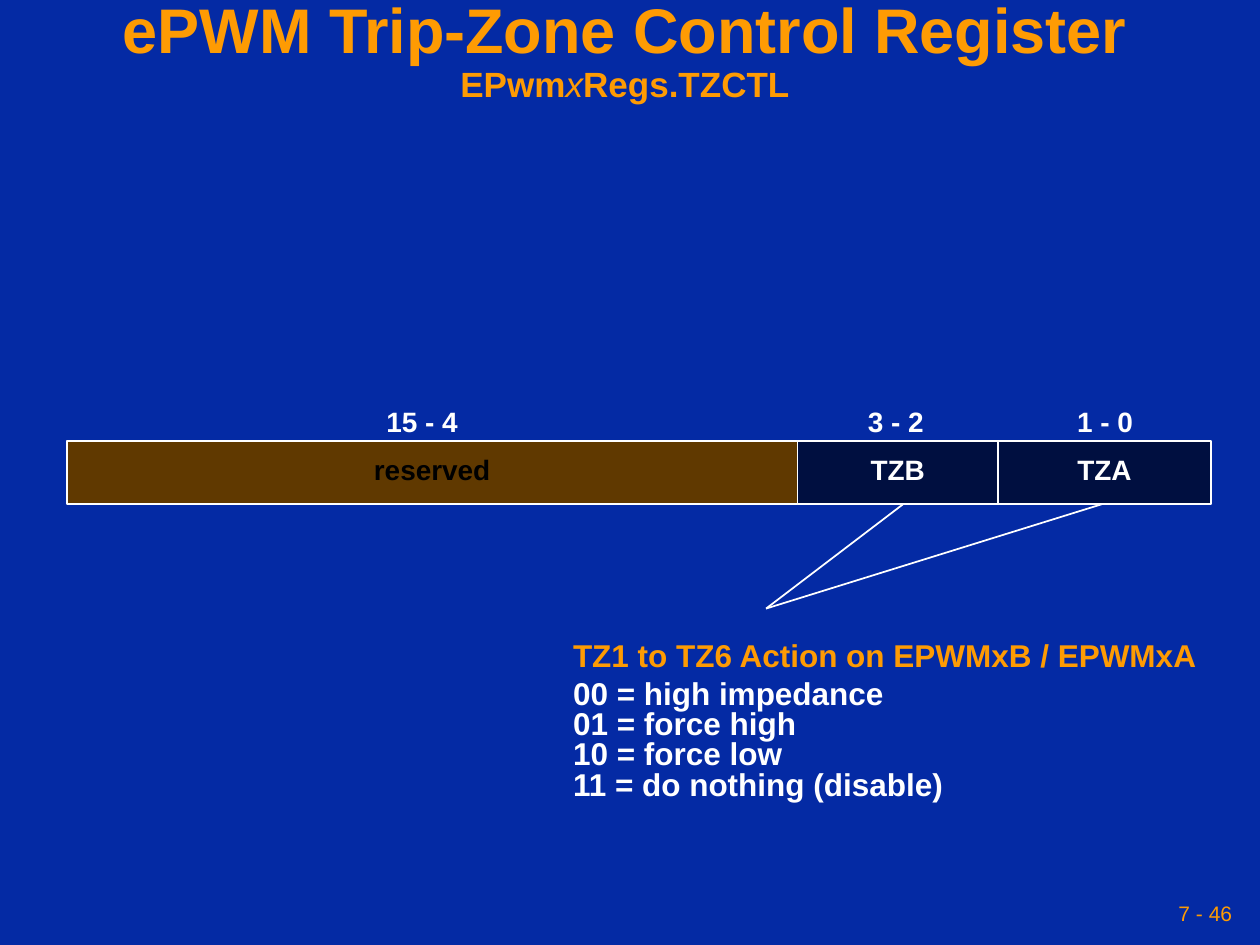
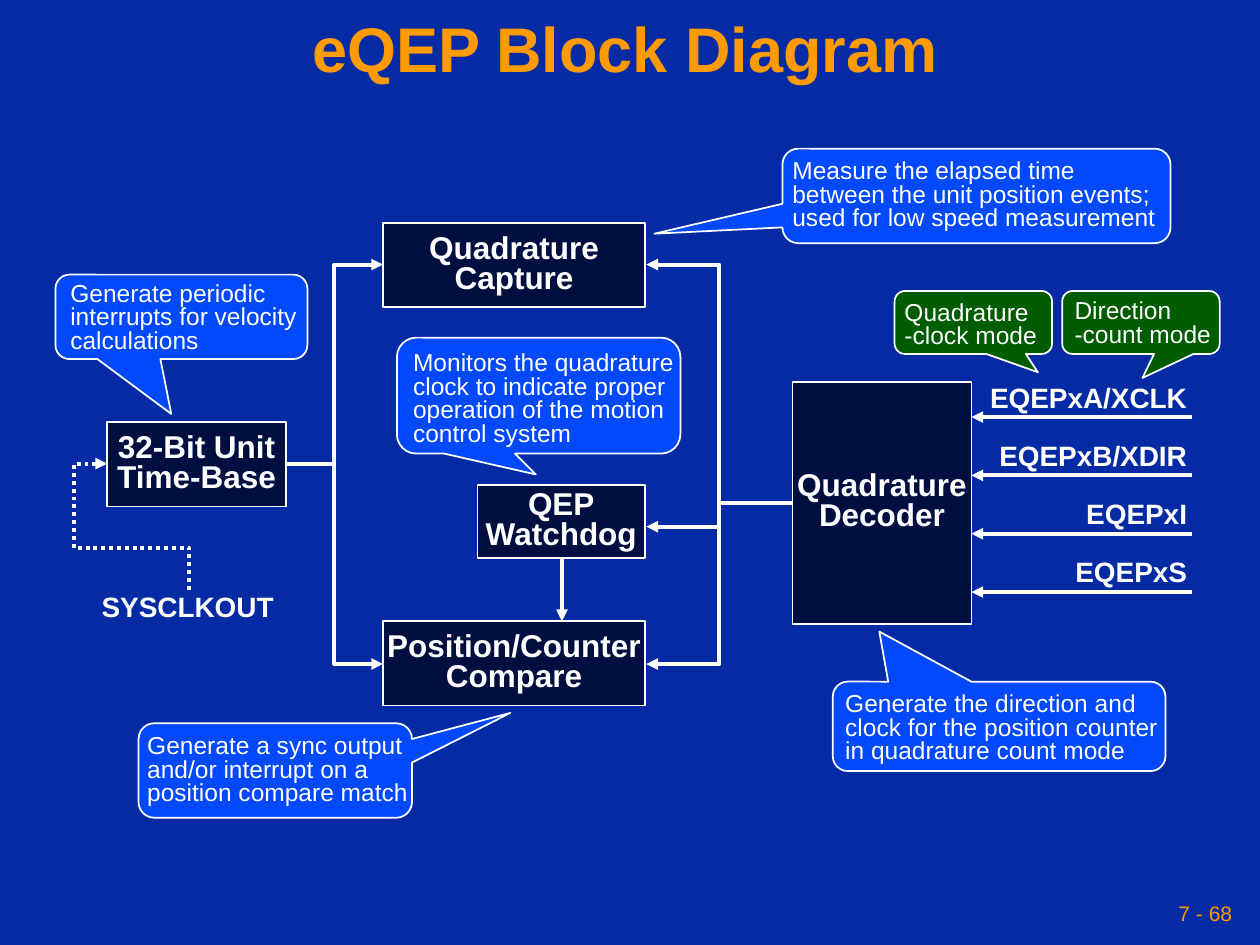
from lxml import etree
from pptx import Presentation
from pptx.dml.color import RGBColor
from pptx.enum.dml import MSO_LINE
from pptx.enum.shapes import MSO_CONNECTOR, MSO_SHAPE
from pptx.enum.text import MSO_ANCHOR, MSO_AUTO_SIZE, PP_ALIGN
from pptx.oxml.ns import qn
from pptx.util import Inches, Pt

LEFT, CENTER, RIGHT = PP_ALIGN.LEFT, PP_ALIGN.CENTER, PP_ALIGN.RIGHT
TOP, MIDDLE = MSO_ANCHOR.TOP, MSO_ANCHOR.MIDDLE
GROW, FIXED = MSO_AUTO_SIZE.SHAPE_TO_FIT_TEXT, MSO_AUTO_SIZE.NONE
STRAIGHT, ELBOW = MSO_CONNECTOR.STRAIGHT, MSO_CONNECTOR.ELBOW
RECTANGLE = MSO_SHAPE.RECTANGLE
CALLOUT = MSO_SHAPE.ROUNDED_RECTANGULAR_CALLOUT
DOTTED = MSO_LINE.ROUND_DOT

FONT = "Arial"
BACKGROUND, ACCENT, WHITE, BLACK = "042AA4", "FE9B03", "FFFFFF", "000000"
NAVY, BROWN, BLUE, GREEN = "000F40", "603900", "0249FC", "005C00"
THIN, THICK = 1, 2.25


def color(hex_string):
    return RGBColor.from_string(hex_string)


class Deck:
    """Holds the presentation, its style and the current slide."""

    def __init__(self):
        self.presentation = Presentation()
        self.presentation.slide_width = Inches(10)
        self.presentation.slide_height = Inches(7.5)
        self.slide = None

    def new_slide(self, title_lines, page):
        """Each title line is a list of (text, size, bold, italic) runs."""
        self.slide = self.presentation.slides.add_slide(
            self.presentation.slide_layouts[6])
        fill = self.slide.background.fill
        fill.solid()
        fill.fore_color.rgb = color(BACKGROUND)

        # Page number
        self.text(6.83, 7.08, 3, 0.33, page, 12, ACCENT, bold=False,
                  align=RIGHT, anchor=MIDDLE, spacing=1, margin=0.05,
                  auto_size=FIXED)

        # Title
        box = self.text(0, 0, 9.92, 0.83, "", 36, ACCENT, align=CENTER,
                        anchor=MIDDLE, spacing=0.9, margin=0.05, wrap=True,
                        auto_size=FIXED)
        paragraph = box.text_frame.paragraphs[0]
        for index, line in enumerate(title_lines):
            if index:
                paragraph.add_line_break()
            for text, size, bold, italic in line:
                run = paragraph.add_run()
                run.text = text
                self.format_font(run.font, size, ACCENT, bold)
                run.font.italic = italic

    def format_font(self, font, size, ink, bold):
        font.name = FONT
        font.size = Pt(size)
        font.bold = bold
        font.color.rgb = color(ink)

    def fill_text(self, shape, text, size, ink, bold=True, align=LEFT,
                  anchor=TOP, spacing=0.8, margin=0.1, wrap=False):
        frame = shape.text_frame
        frame.text = text
        frame.word_wrap = wrap
        frame.vertical_anchor = anchor
        frame.margin_left = frame.margin_right = Inches(margin)
        frame.margin_top = frame.margin_bottom = Inches(0.05)
        for paragraph in frame.paragraphs:
            paragraph.alignment = align
            paragraph.line_spacing = spacing
            for run in paragraph.runs:
                self.format_font(run.font, size, ink, bold)

    def text(self, left, top, width, height, text, size, ink=WHITE,
             auto_size=GROW, **style):
        box = self.slide.shapes.add_textbox(
            Inches(left), Inches(top), Inches(width), Inches(height))
        self.fill_text(box, text, size, ink, **style)
        box.text_frame.auto_size = auto_size
        return box

    def shape(self, kind, left, top, width, height, fill):
        shape = self.slide.shapes.add_shape(
            kind, Inches(left), Inches(top), Inches(width), Inches(height))
        shape.shadow.inherit = False
        shape.fill.solid()
        shape.fill.fore_color.rgb = color(fill)
        self.format_line(shape.line, THIN)
        return shape

    def block(self, left, top, width, height, text, size=18, fill=NAVY,
              ink=WHITE):
        shape = self.shape(RECTANGLE, left, top, width, height, fill)
        self.fill_text(shape, text, size, ink, align=CENTER, anchor=MIDDLE)

    def callout(self, bubble, tip, fill, note, text):
        """tip is the pointer's end, as a share of the bubble from its centre."""
        shape = self.shape(CALLOUT, *bubble, fill)
        shape.adjustments[0], shape.adjustments[1] = tip
        self.text(*note, text, 14, bold=False, wrap=True)

    def format_line(self, line, width):
        line.color.rgb = color(WHITE)
        line.width = Pt(width)

    def add_arrowhead(self, line):
        etree.SubElement(line._get_or_add_ln(), qn("a:tailEnd"),
                         type="triangle")

    def connect(self, start, end, kind=STRAIGHT, width=THICK, arrow=True):
        connector = self.slide.shapes.add_connector(
            kind, *(Inches(value) for value in (*start, *end)))
        self.format_line(connector.line, width)
        if arrow:
            self.add_arrowhead(connector.line)
        etree.SubElement(connector._element.spPr, qn("a:effectLst"))

    def dotted_route(self, points):
        corners = [(Inches(x), Inches(y)) for x, y in points]
        builder = self.slide.shapes.build_freeform(*corners[0])
        builder.add_line_segments(corners[1:], close=False)
        route = builder.convert_to_shape()
        route.shadow.inherit = False
        route.fill.background()
        self.format_line(route.line, THICK)
        route.line.dash_style = DOTTED
        self.add_arrowhead(route.line)


def build_control_register(deck):
    deck.new_slide([[("ePWM Trip-Zone Control Register", 36, True, False)],
                    [("EPwm", 20, True, False), ("x", 20, False, True),
                     ("Regs.TZCTL", 20, True, False)]], "7 - 46")

    # Register fields with their bit numbers: left, right, centre of the bits
    top, height, label_width = 3.5, 0.5, 1
    fields = [("15 - 4", "reserved", 0.53, 6.33, 3.35, BROWN, BLACK),
              ("3 - 2", "TZB", 6.33, 7.92, 7.11, NAVY, WHITE),
              ("1 - 0", "TZA", 7.92, 9.61, 8.77, NAVY, WHITE)]
    for bits, name, left, right, middle, fill, ink in fields:
        deck.block(left, top, right - left, height, name, 16, fill, ink)
        deck.text(middle - label_width / 2, 3.21, label_width, 0.32, bits, 16,
                  align=CENTER)

    # Field values
    values = deck.text(4.45, 5.05, 5.2, 1.37,
                       "TZ1 to TZ6 Action on EPWMxB / EPWMxA\n"
                       "00 = high impedance\n01 = force high\n"
                       "10 = force low\n11 = do nothing (disable)",
                       18, anchor=MIDDLE, wrap=True)
    heading = values.text_frame.paragraphs[0]
    heading.space_after = Pt(4.5)
    heading.runs[0].font.color.rgb = color(ACCENT)

    # Pointers from the fields to their values
    for field_x in (7.17, 8.75):
        deck.connect((field_x, top + height), (6.08, 4.83), width=THIN,
                     arrow=False)


def build_block_diagram(deck):
    deck.new_slide([[("eQEP Block Diagram", 36, True, False)]], "7 - 68")

    # Blocks
    for left, top, width, height, name in [
            (6.29, 3.03, 1.42, 1.92, "Quadrature\nDecoder"),
            (3.04, 4.93, 2.08, 0.67, "Position/Counter\nCompare"),
            (3.04, 1.77, 2.08, 0.67, "Quadrature\nCapture"),
            (0.85, 3.35, 1.42, 0.67, "32-Bit Unit\nTime-Base"),
            (3.79, 3.85, 1.33, 0.58, "QEP\nWatchdog")]:
        deck.block(left, top, width, height, name)

    # Input signals of the decoder, aligned at the right
    signals = ["EQEPxA/XCLK", "EQEPxB/XDIR", "EQEPxI", "EQEPxS"]
    for row, name in enumerate(signals):
        arrow_y = 3.31 + row * 0.463
        deck.connect((9.46, arrow_y), (7.71, arrow_y))
        deck.text(7.52, 3.02 + row * 0.46, 2, 0.32, name, 16, align=RIGHT,
                  wrap=True)

    # Clock input of the time base
    deck.text(0.59, 4.68, 1.8, 0.32, "SYSCLKOUT", 16, align=CENTER, wrap=True)
    deck.dotted_route([(1.5, 4.68), (1.5, 4.35), (0.59, 4.35), (0.59, 3.68),
                       (0.85, 3.68)])

    # Connections between the blocks
    for target_y in (2.1, 5.27):
        deck.connect((6.29, 3.99), (5.13, target_y), ELBOW)
        deck.connect((2.26, 3.68), (3.04, target_y), ELBOW)
    deck.connect((5.71, 4.18), (5.13, 4.18))
    deck.connect((4.46, 4.43), (4.46, 4.93))

    # Callouts: bubble, pointer tip, fill, note box, note
    for callout in [
            ((6.61, 5.41, 2.64, 0.71), (-0.36, -1.06), BLUE,
             (6.61, 5.46, 2.83, 0.66),
             "Generate the direction and clock for the position counter "
             "in quadrature count mode"),
            ((1.1, 5.74, 2.17, 0.75), (0.86, -0.61), BLUE,
             (1.07, 5.79, 2.43, 0.66),
             "Generate a sync output and/or interrupt on a position "
             "compare match"),
            ((6.21, 1.18, 3.08, 0.75), (-0.83, 0.4), BLUE,
             (6.19, 1.23, 3.18, 0.66),
             "Measure the elapsed time between the unit position events; "
             "used for low speed measurement"),
            ((0.44, 2.18, 2, 0.67), (-0.04, 1.15), BLUE,
             (0.46, 2.2, 2, 0.66),
             "Generate periodic interrupts for velocity calculations"),
            ((3.15, 2.68, 2.25, 0.92), (-0.01, 0.68), BLUE,
             (3.18, 2.75, 2.35, 0.85),
             "Monitors the quadrature clock to indicate proper operation "
             "of the motion control system"),
            ((7.1, 2.31, 1.25, 0.5), (0.41, 0.79), GREEN,
             (7.08, 2.35, 1.35, 0.48), "Quadrature -clock mode"),
            ((8.43, 2.31, 1.25, 0.5), (0.01, 0.88), GREEN,
             (8.43, 2.34, 1.34, 0.48), "Direction -count mode")]:
        deck.callout(*callout)


def main():
    deck = Deck()
    build_control_register(deck)
    build_block_diagram(deck)
    deck.presentation.save("out.pptx")


if __name__ == "__main__":
    main()
